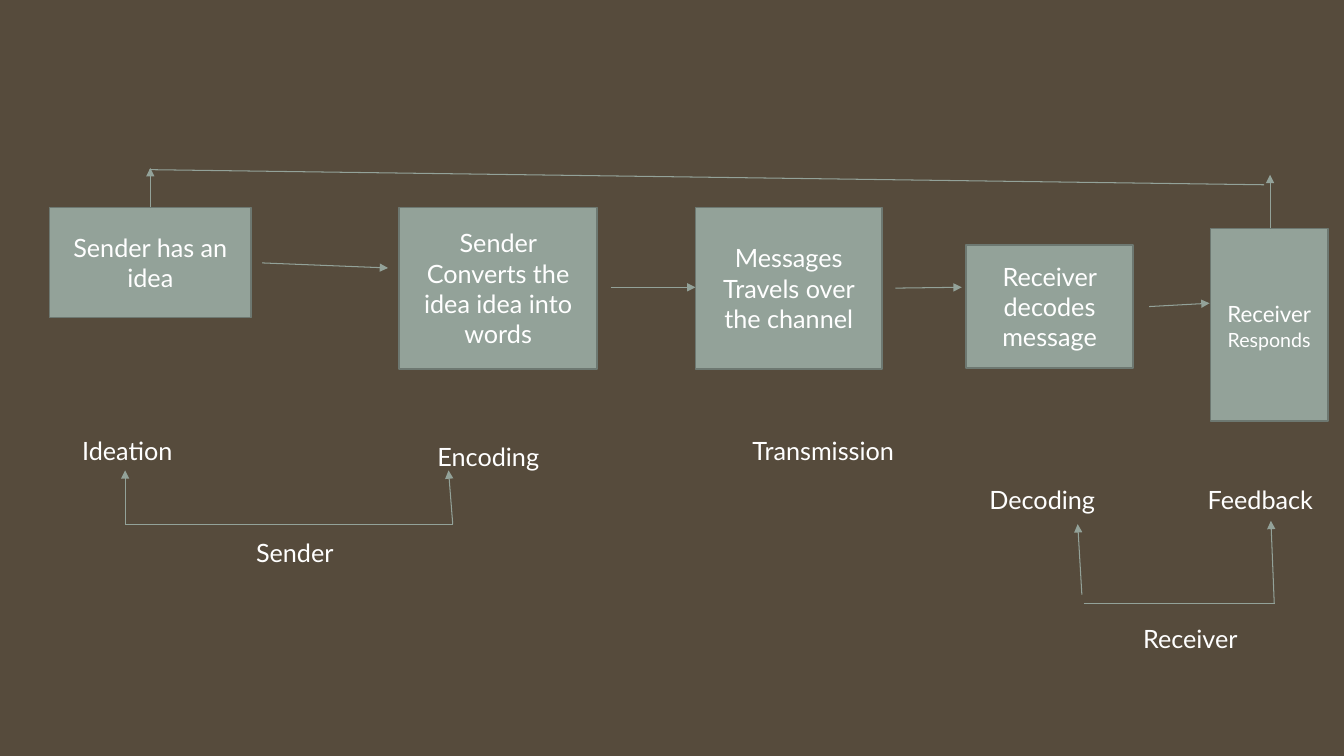
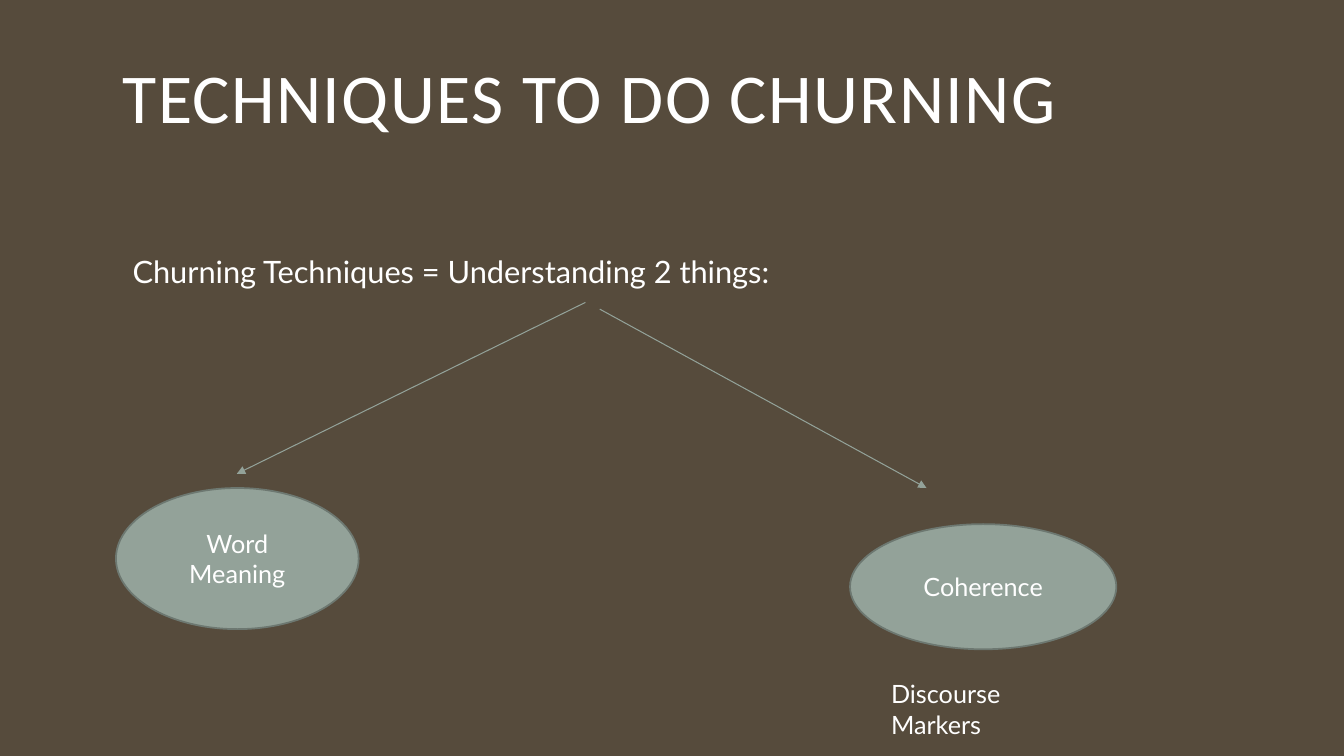
from lxml.etree import SubElement as Sub
from pptx import Presentation
from pptx.dml.color import RGBColor as RGB
from pptx.enum.shapes import MSO_CONNECTOR as Conn, MSO_SHAPE as Kind
from pptx.enum.text import MSO_ANCHOR as Anchor, PP_ALIGN as Align
from pptx.oxml.ns import qn
from pptx.util import Inches, Pt

# Shared look
BROWN = RGB(0x56, 0x4B, 0x3C)
SAGE = RGB(0x93, 0xA2, 0x99)
EDGE = RGB(0x6D, 0x78, 0x71)
WHITE = RGB(0xFF, 0xFF, 0xFF)
HEAD, BODY = "Calibri", "Lato"
SIZE = 18
ROW = 4.8  # height of a one-line label

# Grid of 160 columns by 90 rows
WIDE, HIGH = Inches(13.333), Inches(7.5)
COLS, ROWS = 160, 90


def col(n):
    return round(WIDE * n / COLS)


def row(n):
    return round(HIGH * n / ROWS)


def area(x, y, w, h):
    return col(x), row(y), col(w), row(h)


def add_run(para, text, size=SIZE, face=BODY):
    run = para.add_run()
    run.text = text
    run.font.size = Pt(size)
    run.font.name = face
    run.font.color.rgb = WHITE
    return run


def add_node(slide, kind, place, *runs):
    """Filled shape with centred text; each run is (text, size)."""
    node = slide.shapes.add_shape(kind, *area(*place))
    node.shadow.inherit = False
    node.fill.solid()
    node.fill.fore_color.rgb = SAGE
    node.line.color.rgb = EDGE
    node.line.width = Pt(1.25)
    frame = node.text_frame
    frame.word_wrap = True
    frame.vertical_anchor = Anchor.MIDDLE
    para = frame.paragraphs[0]
    para.alignment = Align.CENTER
    for text, size in runs:
        add_run(para, text, size)


def add_label(slide, text, x, y, w, h=ROW, size=SIZE):
    box = slide.shapes.add_textbox(*area(x, y, w, h))
    box.text_frame.word_wrap = True
    para = box.text_frame.paragraphs[0]
    add_run(para, text, size)
    return para


def add_line(slide, x1, y1, x2, y2, arrow=True):
    line = slide.shapes.add_connector(
        Conn.STRAIGHT, col(x1), row(y1), col(x2), row(y2))
    line.line.color.rgb = SAGE
    line.line.width = Pt(0.75)
    if arrow:
        Sub(line.line._get_or_add_ln(), qn("a:tailEnd"), type="triangle")
    Sub(line._element.spPr, qn("a:effectLst"))


def add_title(slide, text):
    title = slide.shapes.title
    title.left, title.top, title.width, title.height = area(13.4, 7.7, 127.6, 19.7)
    title.text_frame.vertical_anchor = Anchor.TOP
    para = title.text_frame.paragraphs[0]
    para.alignment = Align.LEFT
    para.line_spacing = 0.8
    run = add_run(para, text, 50, HEAD)
    run.font._element.set("spc", "100")


def draw_flow(slide):
    # Steps of the message
    steps = [
        ("Sender has an idea", (5.9, 24.7, 24, 13.1)),
        ("Sender Converts the idea idea into words", (47.5, 24.7, 23.6, 19.2)),
        ("Messages Travels over the channel", (82.8, 24.7, 22.2, 19.2)),
        ("Receiver decodes message", (115, 29.2, 19.9, 14.6)),
    ]
    for text, place in steps:
        add_node(slide, Kind.RECTANGLE, place, (text, SIZE))
    add_node(slide, Kind.RECTANGLE, (144.1, 27.2, 14, 22.9),
             ("Receiver", 16), (" ", SIZE), ("Responds", 14))

    # Arrows between steps, up to the return line, and up to the labels
    arrows = [
        (31.2, 31.3, 46.2, 31.9), (72.7, 34.2, 82.8, 34.2),
        (106.6, 34.3, 114.5, 34.2), (136.8, 36.5, 144, 36.1),
        (151.2, 27.2, 151.2, 20.8), (17.9, 24.7, 17.9, 20),
        (14.9, 62.4, 14.9, 56), (53.9, 62.4, 53.4, 56),
        (128.8, 70.8, 128.3, 62.4), (151.7, 71.9, 151.3, 62),
    ]
    for ends in arrows:
        add_line(slide, *ends)

    # Return line, sender base and receiver base
    for ends in [(17.8, 20.2, 150.5, 22), (14.9, 62.4, 53.9, 62.4),
                 (129, 71.9, 151.8, 71.9)]:
        add_line(slide, *ends, arrow=False)

    # Stage names
    labels = [
        ("Ideation", 8.6, 51.2, 16), ("Encoding", 50.9, 52, 16.4),
        ("Sender", 29.3, 63.4, 12.7), ("Transmission", 88.4, 51.2, 20.5),
        ("Decoding", 116.6, 57.1, 17.2), ("Feedback", 142.6, 57.1, 17.5),
        ("Receiver", 134.9, 73.6, 15.4),
    ]
    for label in labels:
        add_label(slide, *label)


def draw_tree(slide):
    add_title(slide, "TECHNIQUES TO DO CHURNING")
    lead = add_label(slide, "Churning Techniques = Understanding 2 things:",
                     13.4, 30, 127.6, 52.8, size=22)
    lead.line_spacing = 0.9
    lead.space_before, lead.space_after = Pt(12), Pt(2)
    lead._p.get_or_add_pPr().set("marL", str(Inches(0.1)))

    # Two branches
    add_line(slide, 69.7, 36, 28.2, 56.4)
    add_line(slide, 71.4, 36.8, 110.3, 58.1)
    add_node(slide, Kind.OVAL, (13.8, 58.1, 28.9, 16.8), ("Word Meaning", SIZE))
    add_node(slide, Kind.OVAL, (101.2, 62.4, 31.7, 14.9), ("Coherence", SIZE))
    add_label(slide, "Discourse Markers", 104.9, 80.2, 20)


def main():
    prs = Presentation()
    prs.slide_width, prs.slide_height = WIDE, HIGH
    back = prs.slide_master.background.fill
    back.solid()
    back.fore_color.rgb = BROWN
    only, blank = prs.slide_layouts[5], prs.slide_layouts[6]
    draw_flow(prs.slides.add_slide(blank))
    draw_tree(prs.slides.add_slide(only))
    prs.save("out.pptx")


main()
